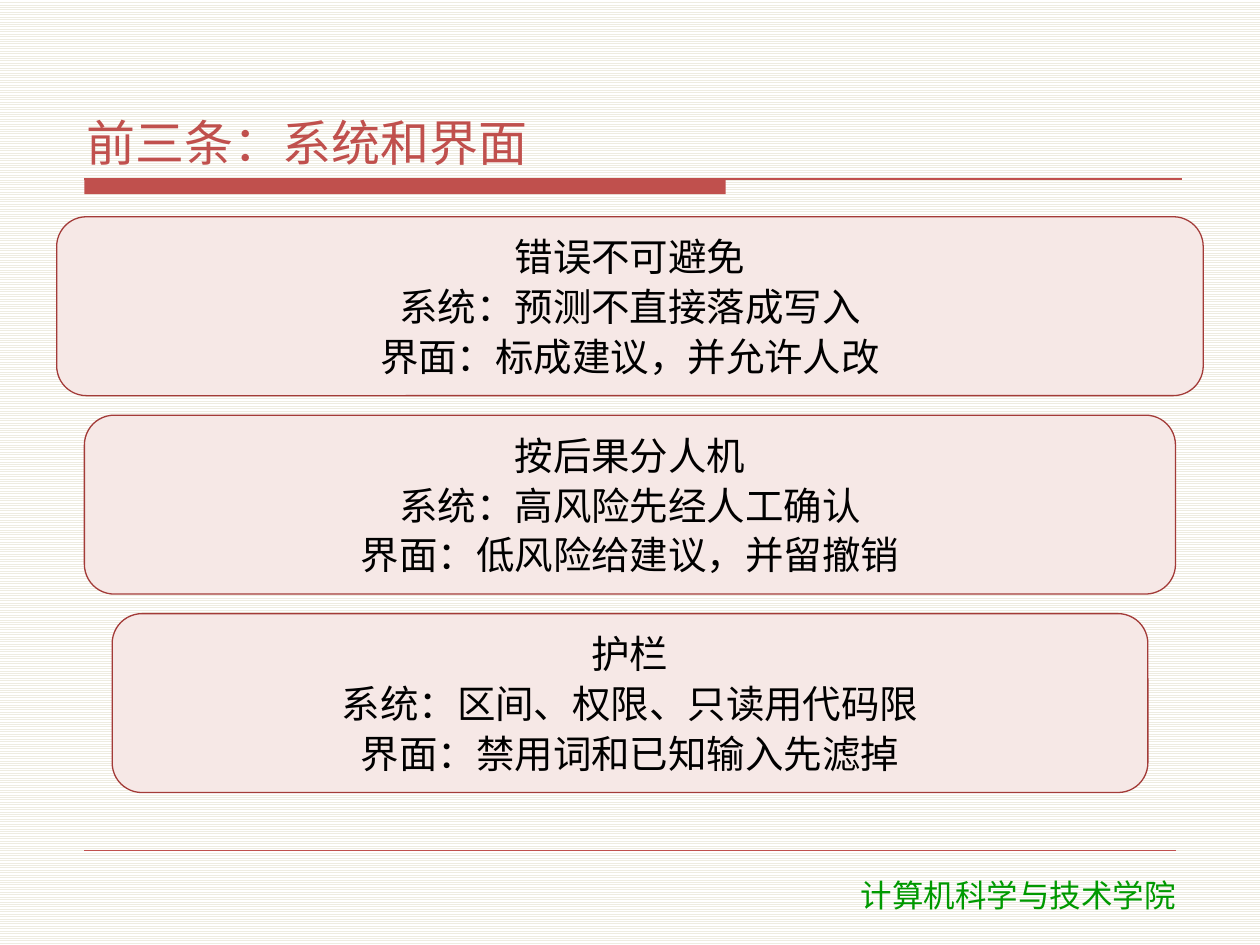
from lxml.etree import SubElement
from pptx import Presentation
from pptx.dml.color import RGBColor
from pptx.enum.dml import MSO_PATTERN
from pptx.enum.shapes import MSO_CONNECTOR, MSO_SHAPE
from pptx.enum.text import MSO_ANCHOR, MSO_AUTO_SIZE, PP_ALIGN
from pptx.oxml.ns import qn
from pptx.util import Inches, Pt

MAIN_FONT, FOOTER_FONT = "Noto Sans CJK SC", "DejaVu Sans"
ACCENT, CARD_FILL, CARD_LINE = "C0504D", "F6E8E6", "A33B38"
MARGIN, RULE_TOP = 0.67, 1.42
CARDS = [
    ["错误不可避免", "系统：预测不直接落成写入", "界面：标成建议，并允许人改"],
    ["按后果分人机", "系统：高风险先经人工确认", "界面：低风险给建议，并留撤销"],
    ["护栏", "系统：区间、权限、只读用代码限", "界面：禁用词和已知输入先滤掉"],
]


def color(value):
    return RGBColor.from_string(value)


def inches(*lengths):
    return [Inches(length) for length in lengths]


def write(frame, lines, size, font, ink, align, after=0):
    """Fill a text frame with one paragraph per line."""
    frame.word_wrap = True
    frame.text = "\n".join(lines)
    for para in frame.paragraphs:
        para.alignment = align
        para.space_before, para.space_after = Pt(0), Pt(after)
        para.font.size, para.font.name = Pt(size), font
        para.font.color.rgb = color(ink)
        defaults = para._p.pPr.find(qn("a:defRPr"))
        SubElement(defaults, qn("a:ea"), typeface=font)


def set_insets(frame, anchor):
    frame.auto_size = MSO_AUTO_SIZE.NONE
    frame.vertical_anchor = anchor
    frame.margin_left = frame.margin_right = Inches(0.06)
    frame.margin_top = frame.margin_bottom = Inches(0.02)


def add_rule(page, left, right, top, width):
    rule = page.shapes.add_connector(
        MSO_CONNECTOR.STRAIGHT, *inches(left, top, right, top))
    rule.line.color.rgb = color(ACCENT)
    rule.line.width = Pt(width)
    SubElement(rule._element.spPr, qn("a:effectLst"))


def add_box(page, preset, box, fill):
    shape = page.shapes.add_shape(preset, *inches(*box))
    shape.shadow.inherit = False
    shape.fill.solid()
    shape.fill.fore_color.rgb = color(fill)
    return shape


def paint_background(page):
    fill = page.background.fill
    fill.patterned()
    fill.pattern = MSO_PATTERN.LIGHT_HORIZONTAL
    fill.fore_color.rgb = color("EEECE1")
    fill.back_color.rgb = color("FFFFFF")


def add_header(page, left, top, width, height):
    title = page.shapes.title
    title.left, title.top, title.width, title.height = inches(
        left, top, width, height)
    set_insets(title.text_frame, MSO_ANCHOR.BOTTOM)
    write(title.text_frame, ["前三条：系统和界面"], 28, MAIN_FONT, ACCENT,
          PP_ALIGN.LEFT, after=2)
    bar = add_box(page, MSO_SHAPE.RECTANGLE,
                  (MARGIN, RULE_TOP, 5.09, 0.12), ACCENT)
    bar.line.fill.background()
    add_rule(page, MARGIN, left + width, RULE_TOP, 0.75)


def add_cards(page, left, top, width, height, gap=0.155, step=0.22):
    """Stack the cards, each one inset a step further than the last."""
    card_height = (height - gap * (len(CARDS) - 1)) / len(CARDS)
    for index, lines in enumerate(CARDS):
        inset = index * step
        box = (left + inset, top + index * (card_height + gap),
               width - 2 * inset, card_height)
        card = add_box(page, MSO_SHAPE.ROUNDED_RECTANGLE, box, CARD_FILL)
        card.line.color.rgb = color(CARD_LINE)
        card.line.width = Pt(0.75)
        set_insets(card.text_frame, MSO_ANCHOR.MIDDLE)
        write(card.text_frame, lines, 22, MAIN_FONT, "000000",
              PP_ALIGN.CENTER, after=2)


def add_footer(page, left, top, width, height):
    add_rule(page, MARGIN, 10 - MARGIN, top - 0.15, 0.25)
    label = page.shapes.add_textbox(*inches(left, top, width, height))
    write(label.text_frame, ["计算机科学与技术学院"], 18, FOOTER_FONT,
          "009900", PP_ALIGN.CENTER)


def main():
    deck = Presentation()
    deck.slide_width, deck.slide_height = inches(10, 7.5)
    page = deck.slides.add_slide(deck.slide_layouts[5])
    paint_background(page)
    add_header(page, 0.63, 0.33, 8.75, 1.05)
    add_cards(page, 0.45, 1.72, 9.1, 4.57)
    add_footer(page, 6.07, 6.9, 4.02, 0.4)
    deck.save("out.pptx")


if __name__ == "__main__":
    main()
